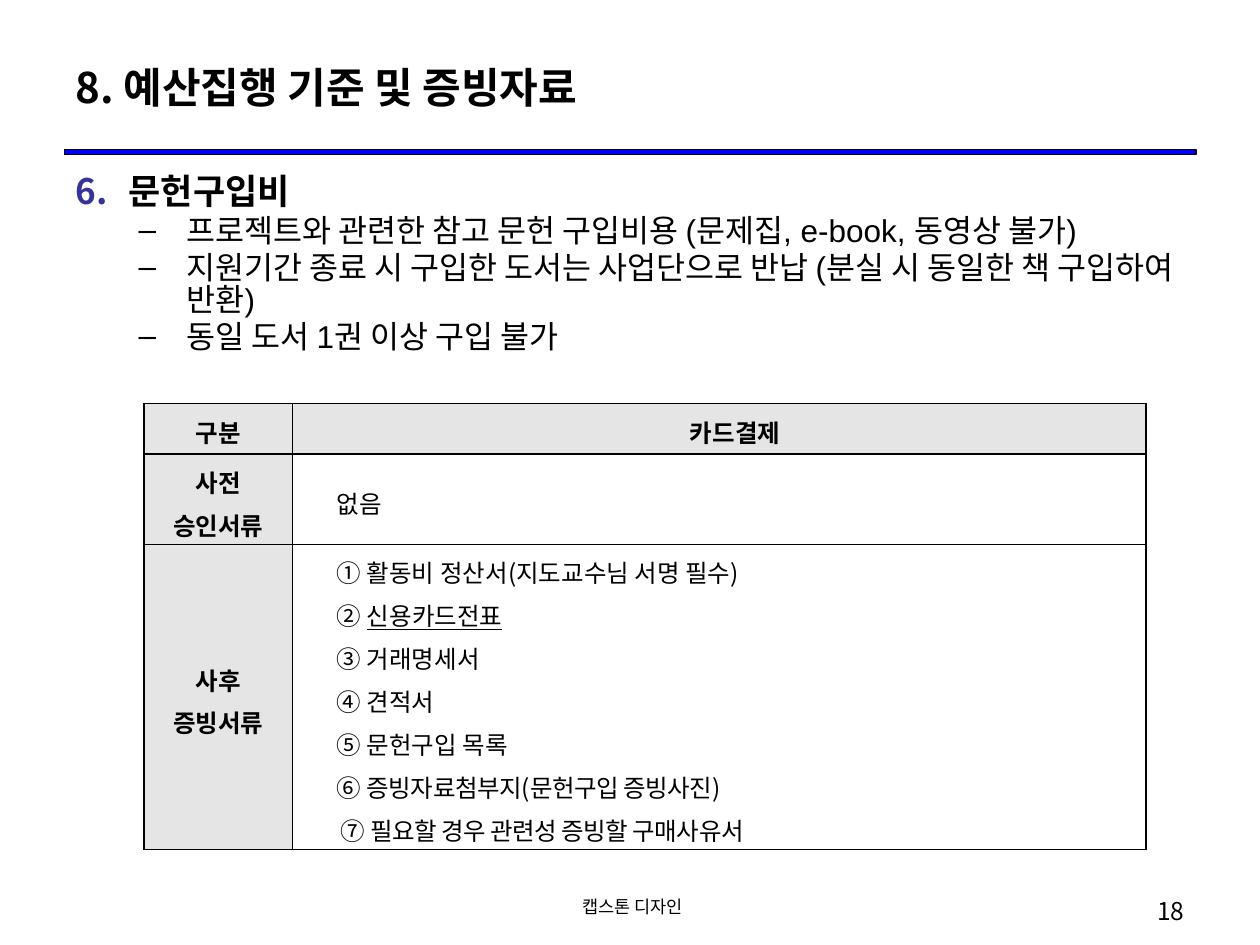
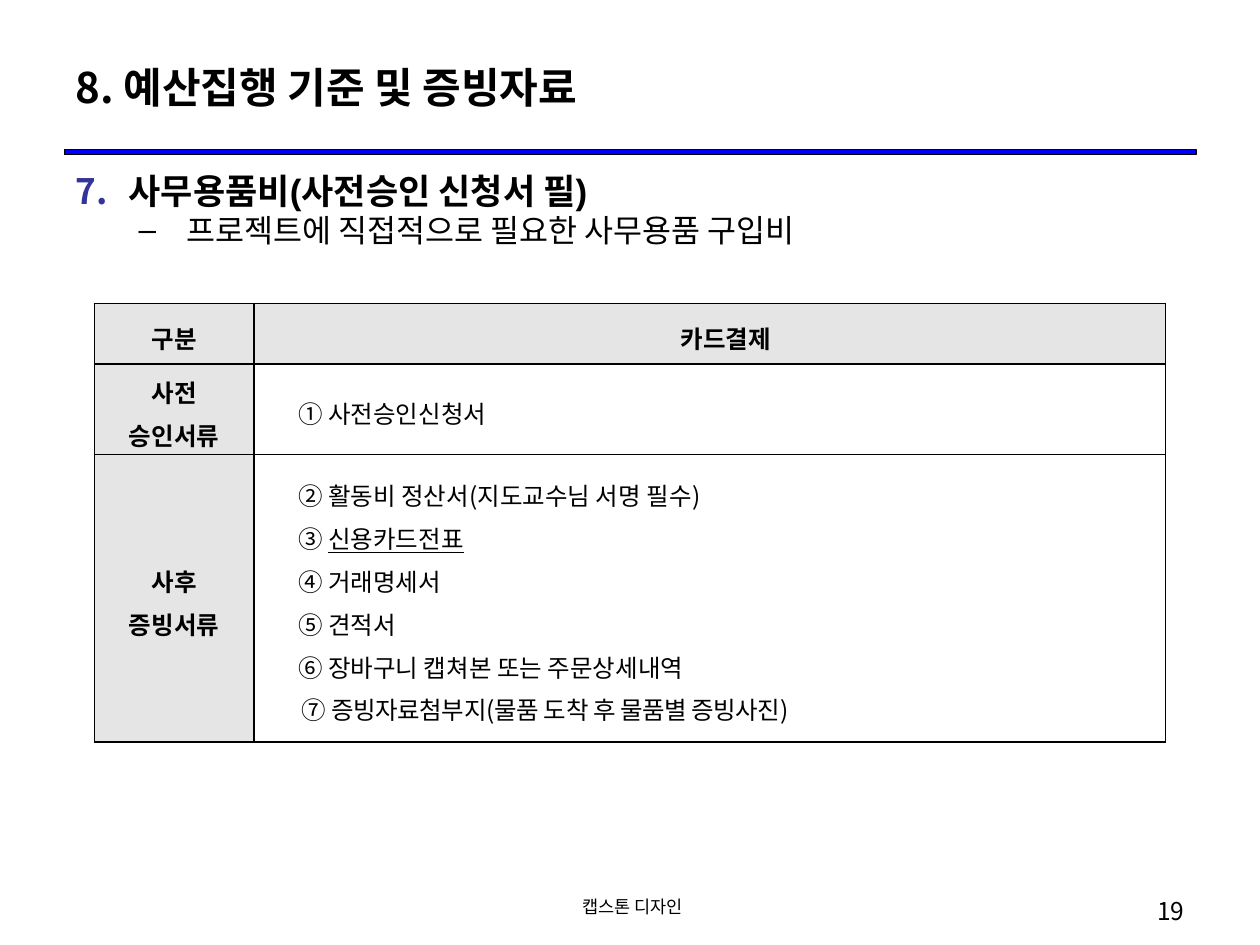
from pptx import Presentation
from pptx.dml.color import RGBColor
from pptx.enum.shapes import MSO_SHAPE
from pptx.enum.text import MSO_ANCHOR, MSO_AUTO_SIZE, PP_ALIGN
from pptx.oxml.ns import qn
from pptx.util import Cm, Pt
from lxml import etree

BLACK = RGBColor(0x00, 0x00, 0x00)
WHITE = RGBColor(0xFF, 0xFF, 0xFF)
BLUE = RGBColor(0x00, 0x00, 0xFF)
INDIGO = RGBColor(0x33, 0x33, 0x99)
GREY = RGBColor(0xE5, 0xE5, 0xE5)
KOREAN, LATIN = "Noto Sans CJK KR", "Arial"
LEFT, CENTER, RIGHT, JUSTIFY = (
    PP_ALIGN.LEFT, PP_ALIGN.CENTER, PP_ALIGN.RIGHT, PP_ALIGN.JUSTIFY)
MIDDLE, TOP = MSO_ANCHOR.MIDDLE, MSO_ANCHOR.TOP
NO_FIT = MSO_AUTO_SIZE.NONE
RECTANGLE = MSO_SHAPE.RECTANGLE

TITLE = "8. 예산집행 기준 및 증빙자료"
FOOTER = " 캡스톤 디자인"
CIRCLED = "①②③④⑤⑥⑦"
CARD_SLIP = "신용카드전표"
ITEM_INDENT, LAST_INDENT = (1.02, -0.38), (1.19, -0.48)

EXPENSES = [
    {
        "page": "18", "number": 6, "heading": "문헌구입비",
        "rules": [
            "프로젝트와 관련한 참고 문헌 구입비용 (문제집, e-book, 동영상 불가)",
            "지원기간 종료 시 구입한 도서는 사업단으로 반납 (분실 시 동일한 책 구입하여 반환)",
            "동일 도서 1권 이상 구입 불가",
        ],
        "table_at": (2.9, 8.13), "columns": (3.0, 17.2), "rows": (1.02, 1.47, 5.49),
        "before": "없음", "first_mark": 0,
        "after": ["활동비 정산서(지도교수님 서명 필수)", CARD_SLIP, "거래명세서", "견적서",
                  "문헌구입 목록", "증빙자료첨부지(문헌구입 증빙사진)",
                  "필요할 경우 관련성 증빙할 구매사유서"],
        "tight_from": 5,
    },
    {
        "page": "19", "number": 7, "heading": "사무용품비(사전승인 신청서 필)",
        "rules": ["프로젝트에 직접적으로 필요한 사무용품 구입비"],
        "table_at": (1.9, 6.12), "columns": (3.22, 18.38), "rows": (1.22, 1.78, 5.79),
        "before": "① 사전승인신청서", "first_mark": 1,
        "after": ["활동비 정산서(지도교수님 서명 필수)", CARD_SLIP, "거래명세서", "견적서",
                  "장바구니 캡쳐본 또는 주문상세내역",
                  "증빙자료첨부지(물품 도착 후 물품별 증빙사진)"],
        "tight_from": 5,
    },
]


class Deck:
    """Holds the deck style and the slide being filled."""

    def __init__(self):
        self.prs = Presentation()
        self.prs.slide_width, self.prs.slide_height = Cm(25.4), Cm(19.05)
        self.slide = None

    def new_slide(self, page):
        self.slide = self.prs.slides.add_slide(self.prs.slide_layouts[1])
        self.band()
        self.title()
        self.caption(FOOTER, 8.69, 8.05, 10, CENTER)
        self.caption(page, 18.21, 5.92, 14, RIGHT)

    def run(self, paragraph, text, size, bold=False, font=KOREAN):
        run = paragraph.add_run()
        run.text = text
        run.font.size, run.font.bold, run.font.name = Pt(size), bold, font
        run.font.color.rgb = BLACK
        etree.SubElement(run._r.get_or_add_rPr(), qn("a:ea"), typeface=KOREAN)
        return run

    def indent(self, paragraph, left, first):
        properties = paragraph._p.get_or_add_pPr()
        properties.set("marL", str(Cm(left)))
        properties.set("indent", str(Cm(first)))
        return properties

    def place(self, shape, left, top, width, height, anchor):
        shape.left, shape.top = Cm(left), Cm(top)
        shape.width, shape.height = Cm(width), Cm(height)
        frame = shape.text_frame
        frame.word_wrap, frame.auto_size, frame.vertical_anchor = True, NO_FIT, anchor
        return frame

    def band(self):
        band = self.slide.shapes.add_shape(
            RECTANGLE, Cm(1.3), Cm(3.02), Cm(22.81), Cm(0.1))
        band.shadow.inherit = False
        band.fill.solid()
        band.fill.fore_color.rgb = BLUE
        band.line.color.rgb, band.line.width = BLACK, Pt(0.75)

    def title(self):
        frame = self.place(self.slide.shapes.title, 1.27, 0.76, 22.86, 1.96, MIDDLE)
        paragraph = frame.paragraphs[0]
        paragraph.alignment = LEFT
        self.run(paragraph, TITLE, 24, True)

    def caption(self, text, left, width, size, align):
        box = self.slide.shapes.add_textbox(0, 0, 0, 0)
        paragraph = self.place(box, left, 17.93, width, 0.74, TOP).paragraphs[0]
        paragraph.alignment = align
        self.run(paragraph, text, size)

    def outline(self, number, heading, rules):
        frame = self.place(
            self.slide.placeholders[1], 1.27, 3.43, 22.86, 14.5, TOP)
        paragraph = frame.paragraphs[0]
        paragraph.line_spacing, paragraph.space_before = 0.84, Pt(4)
        properties = self.indent(paragraph, 1.07, -1.07)
        colour = etree.SubElement(properties, qn("a:buClr"))
        etree.SubElement(colour, qn("a:srgbClr"), val=str(INDIGO))
        etree.SubElement(properties, qn("a:buFont"), typeface=KOREAN)
        etree.SubElement(properties, qn("a:buAutoNum"),
                         type="arabicPeriod", startAt=str(number))
        self.run(paragraph, heading, 20, True, LATIN)
        for rule in rules:
            paragraph = frame.add_paragraph()
            paragraph.level = 1
            paragraph.line_spacing, paragraph.space_before = 0.84, Pt(3)
            properties = self.indent(paragraph, 2.24, -0.97)
            etree.SubElement(properties, qn("a:buFont"), typeface=LATIN)
            etree.SubElement(properties, qn("a:buChar"), char="–")
            self.run(paragraph, rule, 18, font=LATIN)

    def cell_line(self, paragraph, text, align, indent=(0, 0), bold=False):
        paragraph.alignment, paragraph.line_spacing = align, 1.2
        self.indent(paragraph, *indent)
        return self.run(paragraph, text, 14, bold)

    def style_cell(self, cell, fill):
        cell.vertical_anchor = MIDDLE
        cell.margin_left = cell.margin_right = Cm(0.25)
        cell.margin_top = cell.margin_bottom = Cm(0.05)
        properties = cell._tc.get_or_add_tcPr()
        for side in ("a:lnL", "a:lnR", "a:lnT", "a:lnB"):
            line = etree.SubElement(properties, qn(side), w=str(Pt(0.85)))
            solid = etree.SubElement(line, qn("a:solidFill"))
            etree.SubElement(solid, qn("a:srgbClr"), val=str(BLACK))
        cell.fill.solid()
        cell.fill.fore_color.rgb = fill

    def documents(self, expense):
        columns, rows = expense["columns"], expense["rows"]
        left, top = expense["table_at"]
        table = self.slide.shapes.add_table(
            len(rows), len(columns), Cm(left), Cm(top),
            Cm(sum(columns)), Cm(sum(rows))).table
        table.first_row = table.horz_banding = False
        for column, width in zip(table.columns, columns):
            column.width = Cm(width)
        for row, height in zip(table.rows, rows):
            row.height = Cm(height)
        for r in range(len(rows)):
            for c in range(len(columns)):
                self.style_cell(table.cell(r, c), GREY if r == 0 or c == 0 else WHITE)
        for r, label in enumerate(("구분", "사전 승인서류", "사후 증빙서류")):
            self.cell_line(table.cell(r, 0).text_frame.paragraphs[0],
                           label, CENTER, bold=True)
        self.cell_line(table.cell(0, 1).text_frame.paragraphs[0],
                       "카드결제", CENTER, ITEM_INDENT, True)
        self.cell_line(table.cell(1, 1).text_frame.paragraphs[0],
                       expense["before"], JUSTIFY, ITEM_INDENT)
        self.checklist(table.cell(2, 1).text_frame, expense)

    def checklist(self, frame, expense):
        items = expense["after"]
        for i, item in enumerate(items):
            paragraph = frame.add_paragraph() if i else frame.paragraphs[0]
            indent = LAST_INDENT if i == len(items) - 1 else ITEM_INDENT
            mark = CIRCLED[expense["first_mark"] + i]
            self.cell_line(paragraph, mark + " ", JUSTIFY, indent)
            document = self.run(paragraph, item, 14)
            document.font.underline = item == CARD_SLIP
            if i >= expense["tight_from"]:
                document._r.get_or_add_rPr().set("spc", "-30")


def main():
    deck = Deck()
    for expense in EXPENSES:
        deck.new_slide(expense["page"])
        deck.outline(expense["number"], expense["heading"], expense["rules"])
        deck.documents(expense)
    deck.prs.save("out.pptx")


if __name__ == "__main__":
    main()
